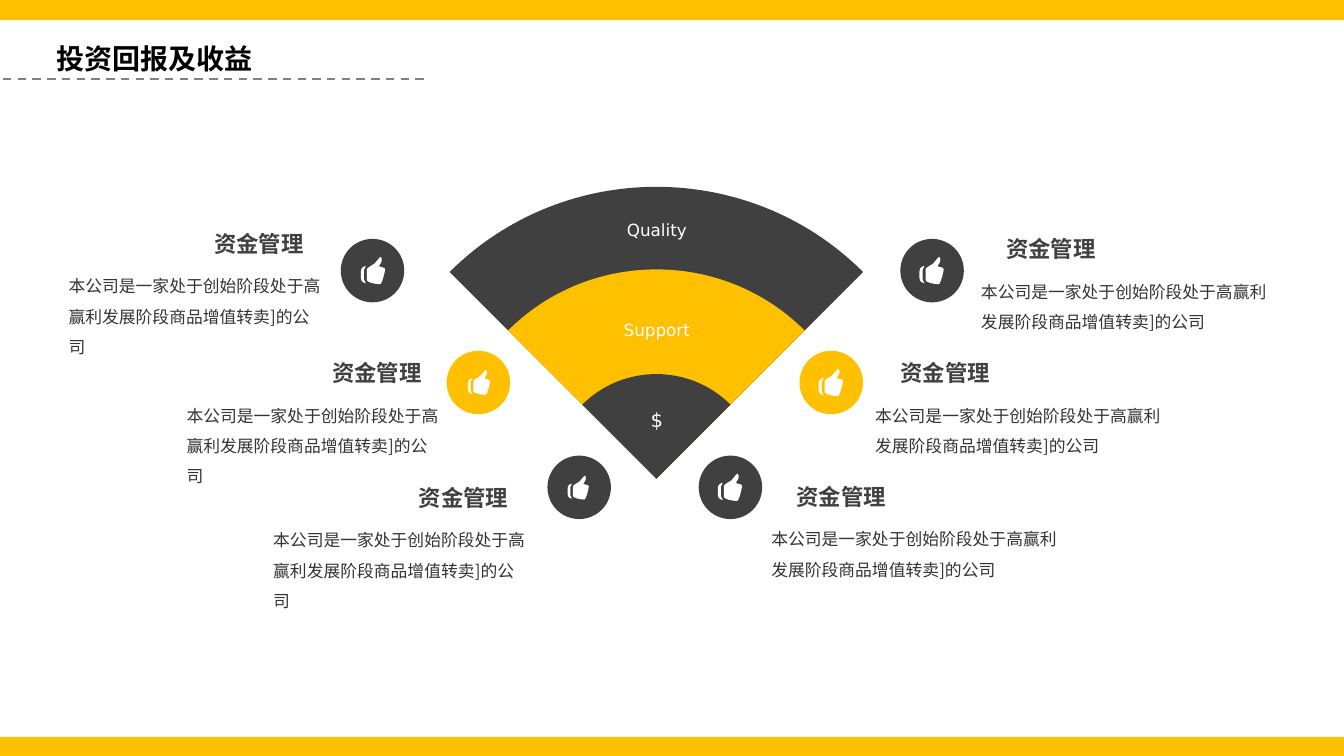
import math

from lxml import etree
from pptx import Presentation
from pptx import util as u
from pptx.dml.color import RGBColor
from pptx.enum import dml, shapes, text
from pptx.oxml.ns import qn

PX = 9144  # EMU per px, 100 px to the inch
COLORS = {"dark": "404040", "gold": "FFC000", "white": "FFFFFF",
          "body": "333333", "title": "000000", "rule": "808080"}
CJK, LATIN = "Noto Sans CJK SC", "DejaVu Sans"

HEADING = "资金管理"
BODY = "本公司是一家处于创始阶段处于高赢利发展阶段商品增值转卖]的公司"

# Fan bands from the outside in: radius, colour
FAN_APEX = (651, 475)
FAN_BANDS = [(290, "dark"), (208, "gold"), (104, "dark")]
FAN_LABELS = [("Quality", 213, 12), ("Support", 312, 12), ("$", 402, 14)]

# Circle left and top, colour, thumb (left, top, width), body (left, top, width)
LEFT_ITEMS = [
    (338, 237, "dark", (358, 255, 24), (68, 264, 252)),
    (443, 348, "gold", (464, 367, 22), (185, 392, 252)),
    (543, 452, "dark", (563, 472, 21), (271, 516, 252)),
]
RIGHT_ITEMS = [
    (893, 237, "dark", (912, 255, 24), (973, 269, 287)),
    (793, 348, "gold", (812, 366, 24), (868, 392, 287)),
    (693, 452, "dark", (712, 470, 24), (765, 515, 287)),
]

# Outlines on a grid: start point, then lines (1 point) or curves (3 points)
CUFF = [[(5, 9)], [(4, 9), (0, 10), (0, 14)], [(0, 21)], [(0, 25), (4, 26), (5, 26)],
        [(6, 26), (3, 25), (3, 22)], [(3, 13)], [(3, 10), (6, 9), (5, 9)]]
HAND = [[(18, 9)], [(17, 9), (23, 4), (20, 0)], [(19, -1), (16, 4), (13, 7)],
        [(11, 8), (6, 11), (6, 12)], [(6, 23)], [(6, 25), (14, 27), (19, 27)],
        [(21, 27), (24, 14), (24, 12)], [(24, 10), (18, 10), (18, 9)]]
QUARTER = [[(0, 0)], [(0.55, 0), (1, 0.45), (1, 1)], [(0, 1)]]


def rgb(name):
    return RGBColor.from_string(COLORS[name])


def paint(shape, color):
    shape.shadow.inherit = False
    shape.fill.solid()
    shape.fill.fore_color.rgb = rgb(color)
    shape.line.fill.background()


def add_preset(slide, kind, box, color):
    paint(slide.shapes.add_shape(kind, *(value * PX for value in box)), color)


def add_outline(slide, contours, left, top, scale, color):
    """Draw closed contours of lines and curves as one shape."""
    placed = [[[(round((left + x * scale) * PX), round((top + y * scale) * PX))
                for x, y in segment] for segment in contour] for contour in contours]
    builder = None
    for contour in placed:
        anchors = [segment[-1] for segment in contour]
        if builder is None:
            builder = slide.shapes.build_freeform(*anchors[0], scale=1.0)
        else:
            builder.move_to(*anchors[0])
        builder.add_line_segments(anchors[1:], close=True)
    shape = builder.convert_to_shape()
    paint(shape, color)

    # Bend the segments that have control points
    outline = shape._element.spPr.find(".//" + qn("a:path"))
    steps = [step for step in outline if step.tag != qn("a:close")]
    segments = [segment for contour in placed for segment in contour]
    for step, segment in zip(steps, segments):
        if len(segment) == 3:
            curve = etree.Element(qn("a:cubicBezTo"))
            for x, y in segment:
                etree.SubElement(curve, qn("a:pt"),
                                 x=str(x - shape.left), y=str(y - shape.top))
            outline.replace(step, curve)
    return shape


def add_sector(slide, radius, color):
    """Draw a quarter circle turned to stand on the apex of the fan."""
    x, y = FAN_APEX
    left = x - radius / 2
    top = y - radius * (math.sqrt(0.5) + 0.5)
    add_outline(slide, [QUARTER], left, top, radius, color).rotation = 315


def add_text(slide, words, box, size, color, font=CJK, bold=False,
             align=text.PP_ALIGN.LEFT, spacing=0.9, anchor=text.MSO_ANCHOR.TOP, inset=0):
    shape = slide.shapes.add_textbox(*(value * PX for value in box))
    frame = shape.text_frame
    frame.word_wrap = True
    frame.vertical_anchor = anchor
    frame.margin_left = frame.margin_right = inset * 2 * PX
    frame.margin_top = frame.margin_bottom = inset * PX
    frame.text = words
    paragraph = frame.paragraphs[0]
    paragraph.alignment = align
    paragraph.line_spacing = spacing
    run = paragraph.runs[0]
    run.font.size = u.Pt(size)
    run.font.bold = bold
    run.font.color.rgb = rgb(color)
    run.font.name = font
    east_asian = etree.SubElement(run.font._element, qn("a:ea"))
    east_asian.set("typeface", font)


def add_item(slide, item, align):
    """Draw a round icon with its heading and body text."""
    circle_left, circle_top, color, thumb, (left, top, width) = item
    thumb_left, thumb_top, thumb_width = thumb
    add_preset(slide, shapes.MSO_SHAPE.OVAL, (circle_left, circle_top, 63, 63), color)
    add_outline(slide, [CUFF, HAND], thumb_left, thumb_top, thumb_width / 24, "white")
    add_text(slide, HEADING, (left + 25, top - 33, 208, 32), 16, "dark",
             bold=True, align=align)
    add_text(slide, BODY, (left, top, width, 102), 12, "body", spacing=1.5)


def add_dashed_rule(slide, left, right, y):
    rule = slide.shapes.add_connector(shapes.MSO_CONNECTOR.STRAIGHT,
                                      left * PX, y * PX, right * PX, y * PX)
    rule.line.color.rgb = rgb("rule")
    rule.line.width = u.Pt(1.5)
    rule.line.dash_style = dml.MSO_LINE.DASH
    etree.SubElement(rule._element.spPr, qn("a:effectLst"))


def main():
    presentation = Presentation()
    presentation.slide_width = 1333 * PX
    presentation.slide_height = 750 * PX
    slide = presentation.slides.add_slide(presentation.slide_layouts[6])

    # Fan and its labels
    for radius, color in FAN_BANDS:
        add_sector(slide, radius, color)
    for words, top, size in FAN_LABELS:
        add_text(slide, words, (568, top, 167, 32), size, "white", font=LATIN,
                 align=text.PP_ALIGN.CENTER, anchor=text.MSO_ANCHOR.MIDDLE)

    # Bands along the top and bottom edges
    for top in (731, -33):
        add_preset(slide, shapes.MSO_SHAPE.RECTANGLE, (0, top, 1336, 53), "gold")

    # Title with its dashed rule
    add_text(slide, "投资回报及收益", (46, 36, 305, 44), 20, "title", font=LATIN,
             bold=True, spacing=1.0, inset=5)
    add_dashed_rule(slide, 3, 426, 78)

    # Items on both sides of the fan
    for item in LEFT_ITEMS:
        add_item(slide, item, text.PP_ALIGN.RIGHT)
    for item in RIGHT_ITEMS:
        add_item(slide, item, text.PP_ALIGN.LEFT)

    presentation.save("out.pptx")


if __name__ == "__main__":
    main()
